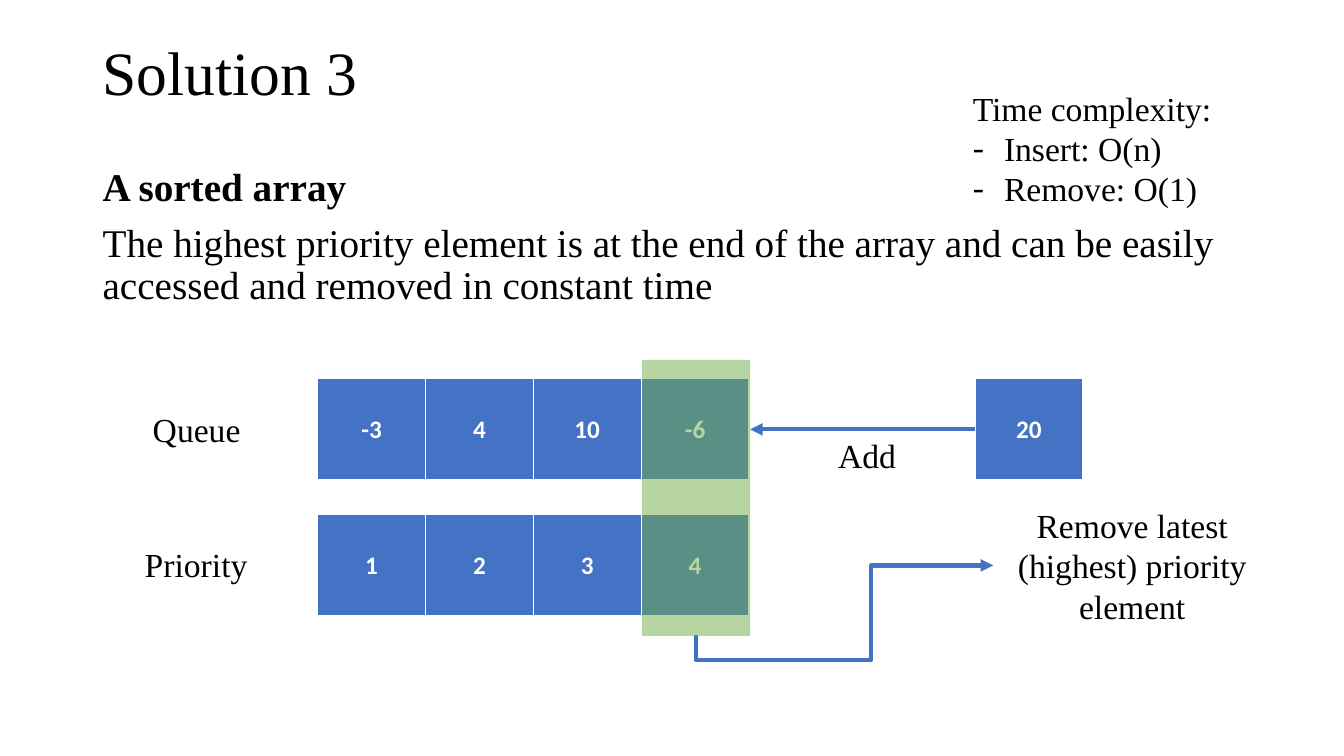
from lxml import etree
from pptx import Presentation
from pptx.dml.color import RGBColor
from pptx.enum.shapes import MSO_CONNECTOR, MSO_SHAPE
from pptx.enum.text import MSO_ANCHOR, MSO_AUTO_SIZE, PP_ALIGN
from pptx.oxml.ns import qn
from pptx.util import Inches, Pt

STRAIGHT, ELBOW = MSO_CONNECTOR.STRAIGHT, MSO_CONNECTOR.ELBOW
RECTANGLE = MSO_SHAPE.RECTANGLE
TOP, MIDDLE = MSO_ANCHOR.TOP, MSO_ANCHOR.MIDDLE
LEFT, CENTER = PP_ALIGN.LEFT, PP_ALIGN.CENTER
FIT_SHAPE = MSO_AUTO_SIZE.SHAPE_TO_FIT_TEXT

COLORS = {"text": "000000", "cell": "4472C4", "white": "FFFFFF", "highlight": "70AD47"}
SERIF, SANS = "Times New Roman", "Calibri"

CELL_W, CELL_H = 1.07, 1.02
ARRAY_X, QUEUE_Y, PRIORITY_Y = 3.15, 3.75, 5.1
NEW_X = 9.67


def color(name):
    return RGBColor.from_string(COLORS[name])


def add_xml(parent, tag, **attributes):
    return etree.SubElement(parent, qn(tag), attributes)


def write_text(frame, *lines, size=24, font=SERIF, fill="text", bold=False,
               align=CENTER, spacing=None, before=None):
    """Fill a text frame, one paragraph per line."""
    for index, line in enumerate(lines):
        paragraph = frame.add_paragraph() if index else frame.paragraphs[0]
        paragraph.alignment = align
        paragraph.line_spacing = spacing
        if before:
            paragraph.space_before = Pt(before)
        run = paragraph.add_run()
        run.text = line
        run.font.name, run.font.size, run.font.bold = font, Pt(size), bold
        run.font.color.rgb = color(fill)


def add_dash(paragraph, indent=0.31):
    properties = paragraph._p.get_or_add_pPr()
    properties.set("marL", str(Inches(indent)))
    properties.set("indent", str(-Inches(indent)))
    add_xml(properties, "a:buFont", typeface=SERIF)
    add_xml(properties, "a:buChar", char="-")


def add_borders(cell):
    properties = cell._tc.get_or_add_tcPr()
    for side, width in (("L", 1), ("R", 1), ("T", 1), ("B", 3)):
        border = add_xml(properties, f"a:ln{side}", w=str(Pt(width)))
        add_xml(add_xml(border, "a:solidFill"), "a:srgbClr", val=COLORS["white"])


class Board:
    def __init__(self, slide):
        self.slide = slide

    def text(self, x, y, w, h, *lines, wrap=True, anchor=TOP, fit=True, **style):
        frame = self.slide.shapes.add_textbox(*map(Inches, (x, y, w, h))).text_frame
        frame.word_wrap = wrap
        frame.vertical_anchor = anchor
        if fit:
            frame.auto_size = FIT_SHAPE
        write_text(frame, *lines, **style)
        return frame

    def array(self, x, y, values):
        """Draw a one-row table of values."""
        size = map(Inches, (x, y, CELL_W * len(values), CELL_H))
        table = self.slide.shapes.add_table(1, len(values), *size).table
        for cell, value in zip(table.rows[0].cells, values):
            add_borders(cell)
            cell.fill.solid()
            cell.fill.fore_color.rgb = color("cell")
            cell.vertical_anchor = MIDDLE
            write_text(cell.text_frame, str(value), size=18, font=SANS,
                       fill="white", bold=True)

    def arrow(self, x1, y1, x2, y2, kind=STRAIGHT):
        connector = self.slide.shapes.add_connector(kind, *map(Inches, (x1, y1, x2, y2)))
        connector.line.color.rgb = color("cell")
        connector.line.width = Pt(3)
        add_xml(connector.line._get_or_add_ln(), "a:tailEnd", type="triangle")
        add_xml(connector._element.spPr, "a:effectLst")
        return connector

    def bent_arrow(self, x, y, w, h, first_bend, second_bend):
        """Draw a four-part elbow, flipped both ways and turned a quarter."""
        properties = self.arrow(x + w, y + h, x, y, ELBOW)._element.spPr
        properties.find(qn("a:xfrm")).set("rot", str(90 * 60000))
        geometry = properties.find(qn("a:prstGeom"))
        geometry.set("prst", "bentConnector4")
        adjustments = geometry.find(qn("a:avLst"))
        for number, bend in enumerate((first_bend, second_bend), 1):
            add_xml(adjustments, "a:gd", name=f"adj{number}",
                    fmla=f"val {round(bend * 100000)}")

    def highlight(self, x, y, w, h, opacity=0.5):
        band = self.slide.shapes.add_shape(RECTANGLE, *map(Inches, (x, y, w, h)))
        band.shadow.inherit = False
        band.line.fill.background()
        band.fill.solid()
        band.fill.fore_color.rgb = color("highlight")
        tint = band._element.spPr.find(qn("a:solidFill"))[0]
        add_xml(tint, "a:alpha", val=str(round(opacity * 100000)))


def main():
    deck = Presentation()
    deck.slide_width, deck.slide_height = Inches(13.33), Inches(7.5)
    board = Board(deck.slides.add_slide(deck.slide_layouts[6]))

    board.text(0.92, 0.02, 11.5, 1.45, "Solution 3", size=44, align=LEFT,
               spacing=0.9, anchor=MIDDLE, fit=False)
    summary = board.text(
        0.92, 1.61, 11.5, 5.14, "A sorted array",
        "The highest priority element is at the end of the array and can be easily "
        "accessed and removed in constant time",
        size=28, align=LEFT, spacing=0.9, before=10, fit=False)
    summary.paragraphs[0].runs[0].font.bold = True

    board.array(ARRAY_X, QUEUE_Y, [-3, 4, 10, -6])
    board.array(NEW_X, QUEUE_Y, [20])
    board.text(1.41, 4.01, 1.08, 0.5, "Queue", wrap=False)
    board.array(ARRAY_X, PRIORITY_Y, [1, 2, 3, 4])
    board.text(1.33, 5.35, 1.23, 0.5, "Priority", wrap=False)

    queue_middle = QUEUE_Y + CELL_H / 2
    board.arrow(NEW_X, queue_middle, 7.44, queue_middle)
    board.text(8.21, 4.27, 0.78, 0.5, "Add", wrap=False)
    board.bent_arrow(8.03, 4.48, 0.69, 2.95, -0.36, 0.59)
    board.text(9.85, 4.96, 2.76, 1.31, "Remove latest (highest) priority element")

    complexity = board.text(9.55, 0.82, 3.4, 1.31, "Time complexity:",
                            "Insert: O(n)", "Remove: O(1)", align=LEFT)
    for operation in complexity.paragraphs[1:]:
        add_dash(operation)

    board.highlight(ARRAY_X + 3 * CELL_W + 0.01, 3.57, CELL_W, 2.74)
    deck.save("out.pptx")


if __name__ == "__main__":
    main()
